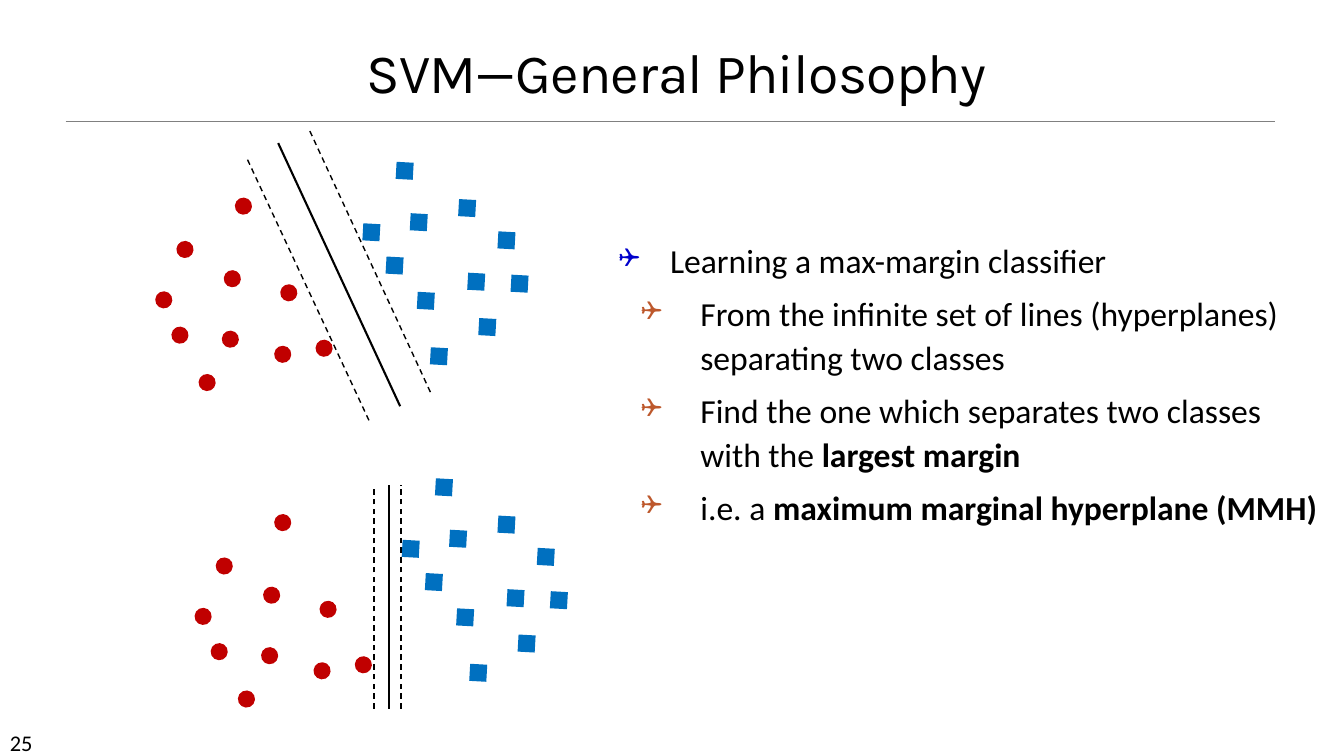
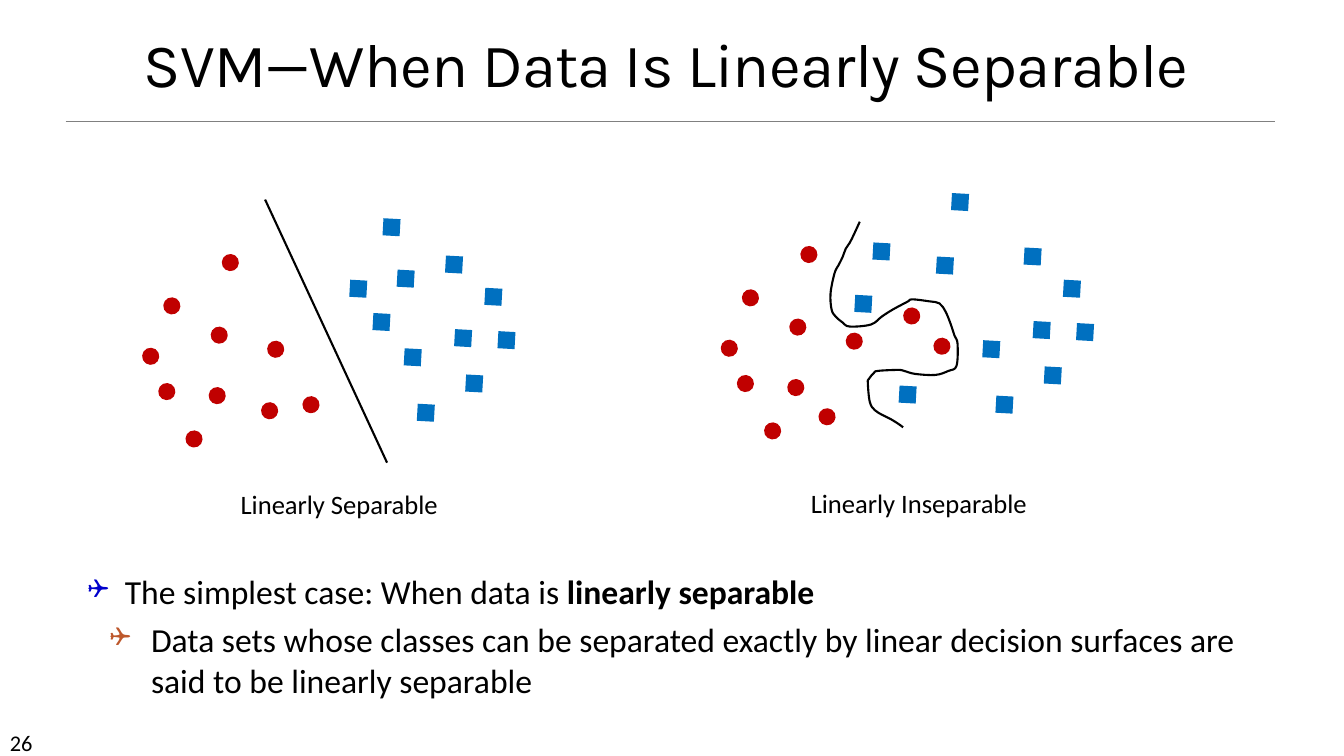
from dataclasses import dataclass, field
from typing import Any, NamedTuple

from lxml.etree import SubElement
from pptx import Presentation
from pptx.dml.color import RGBColor
from pptx.enum.dml import MSO_LINE as Dash
from pptx.enum.shapes import MSO_CONNECTOR as Link, MSO_SHAPE as Form
from pptx.enum.text import MSO_ANCHOR as Anchor, PP_ALIGN as Align
from pptx.oxml.ns import qn
from pptx.util import Inches, Pt

BLACK, GREY, BLUE, RED = "000000", "808080", "0070C0", "C00000"
DOT = 0.17
TITLE = {"name": "Karla"}
BODY = {"name": "Calibri", "size": Pt(24)}
LABEL = {"name": "Calibri", "size": Pt(19)}
PAGE = {"name": "Calibri", "size": Pt(16)}

Spot = tuple[float, float]


class Box(NamedTuple):
    left: float
    top: float
    width: float
    height: float


class Mark(NamedTuple):
    form: Form
    color: str
    turn: float


class Stroke(NamedTuple):
    start: Spot
    end: Spot
    width: float = 1.5
    dashed: bool = False
    color: str = BLACK


class Bullet(NamedTuple):
    color: str
    margin: float
    hang: float
    level: int


@dataclass
class Para:
    runs: list[tuple[str, bool]]
    bullet: Bullet | None = None
    style: dict[str, Any] = field(default_factory=dict)


@dataclass
class Cloud:
    squares: list[Spot]
    rounds: list[Spot]
    shift: Spot
    strokes: list[Stroke] = field(default_factory=list)


RULE = Stroke((0.65, 1.2), (12.65, 1.2), 0.5, color=GREY)
SQUARE = Mark(Form.RECTANGLE, BLUE, 3.2)
ROUND = Mark(Form.OVAL, RED, 4)

FAR_SQUARES = [(4.55, 1.98), (4.64, 2.71), (4.14, 2.9), (4.75, 3.16),
               (5.07, 2.73), (4.27, 3.45), (4.94, 2.3)]
FAR_ROUNDS = [(1.75, 2.39), (2.33, 1.96), (2.22, 2.68), (1.54, 2.89),
              (2.78, 2.82), (2.2, 3.28), (1.7, 3.24), (1.97, 3.71)]
NEAR_SQUARES = [(3.6, 2.22), (4.07, 2.12), (3.83, 2.55), (3.93, 1.61)]
NEAR_ROUNDS = [(2.72, 3.43), (3.13, 3.37)]
MIXED_SQUARES = [(3.31, 3.35), (3.68, 2.07), (2.87, 2.45), (3.05, 1.93), (3.83, 1.44)]
MIXED_ROUNDS = [(3.35, 2.57), (2.51, 3.57), (3.65, 2.87)]

TILTED = Stroke((3.97, 4.03), (2.76, 1.42))
TILTED_EDGES = [Stroke((3.66, 4.17), (2.44, 1.55), 1, True),
                Stroke((4.27, 3.89), (3.06, 1.27), 1, True)]
UPRIGHT = [Stroke((3.47, 3.89), (3.47, 1.67)),
           Stroke((3.32, 3.89), (3.32, 1.68), 1, True),
           Stroke((3.59, 3.89), (3.59, 1.67), 1, True)]

BEND = [(8.53, 2.2), (8.47, 2.33), (8.43, 2.41), (8.39, 2.47), (8.36, 2.55),
        (8.32, 2.63), (8.28, 2.71), (8.24, 2.91), (8.25, 3.07), (8.29, 3.14),
        (8.36, 3.2), (8.43, 3.24), (8.64, 3.22), (8.75, 3.14), (8.86, 3.07),
        (9.01, 2.99), (9.05, 2.97), (9.22, 2.99), (9.32, 3.01), (9.38, 3.09),
        (9.43, 3.21), (9.47, 3.33), (9.5, 3.41), (9.49, 3.63), (9.41, 3.68),
        (9.28, 3.72), (9.08, 3.71), (8.97, 3.68), (8.91, 3.67), (8.71, 3.68),
        (8.67, 3.7), (8.62, 3.76), (8.61, 3.8), (8.63, 3.99), (8.68, 4.07),
        (8.76, 4.12), (8.84, 4.16), (8.92, 4.21), (8.96, 4.24)]


def paint(part: Any, color: str) -> None:
    part.rgb = RGBColor.from_string(color)


def apply(target: Any, style: dict[str, Any]) -> None:
    for name, value in style.items():
        setattr(target, name, value)


def add_bullet(para: Any, bullet: Bullet) -> None:
    props = para._p.get_or_add_pPr()
    props.set("marL", str(Inches(bullet.margin)))
    props.set("indent", str(-Inches(bullet.hang)))
    tint = SubElement(props, qn("a:buClr"))
    SubElement(tint, qn("a:srgbClr")).set("val", bullet.color)
    SubElement(props, qn("a:buSzPct")).set("val", "80000")
    SubElement(props, qn("a:buFont")).set("typeface", "Wingdings")
    SubElement(props, qn("a:buChar")).set("char", "❑")
    para.level = bullet.level


def add_text(slide: Any, box: Box, paras: list[Para], font: dict[str, Any],
             anchor: Anchor = Anchor.TOP, track: int = 0) -> None:
    frame = slide.shapes.add_textbox(*map(Inches, box)).text_frame
    apply(frame, {"word_wrap": True, "vertical_anchor": anchor})
    for index, item in enumerate(paras):
        para = frame.add_paragraph() if index else frame.paragraphs[0]
        if item.bullet:
            add_bullet(para, item.bullet)
        apply(para, item.style)
        if index:
            para.space_before = Pt(6)
        for text, bold in item.runs:
            run = para.add_run()
            run.text = text
            apply(run.font, {**font, "bold": bold})
            paint(run.font.color, BLACK)
            if track:
                run._r.get_or_add_rPr().set("spc", str(track))


def add_stroke(shapes: Any, stroke: Stroke, shift: Spot = (0, 0)) -> Any:
    ends = [Inches(spot + move) for point in (stroke.start, stroke.end)
            for spot, move in zip(point, shift)]
    link = shapes.add_connector(Link.STRAIGHT, *ends)
    SubElement(link._element.spPr, qn("a:effectLst"))
    paint(link.line.color, stroke.color)
    link.line.width = Pt(stroke.width)
    if stroke.dashed:
        link.line.dash_style = Dash.DASH
    return link


def add_marks(shapes: Any, mark: Mark, spots: list[Spot], shift: Spot) -> None:
    for left, top in spots:
        shape = shapes.add_shape(mark.form, Inches(left + shift[0]), Inches(top + shift[1]),
                                 Inches(DOT), Inches(DOT))
        shape.shadow.inherit = False
        shape.rotation = mark.turn
        shape.fill.solid()
        paint(shape.fill.fore_color, mark.color)
        shape.line.fill.background()


def add_cloud(shapes: Any, cloud: Cloud) -> None:
    add_marks(shapes, SQUARE, FAR_SQUARES + cloud.squares, cloud.shift)
    add_marks(shapes, ROUND, FAR_ROUNDS + cloud.rounds, cloud.shift)
    for stroke in cloud.strokes:
        add_stroke(shapes, stroke, cloud.shift)


def smooth(shape: Any) -> None:
    points = list(shape._element.iter(qn("a:pt")))
    knots = [(int(point.get("x")), int(point.get("y"))) for point in points]
    ends = [knots[0], *knots, knots[-1]]
    for point, before, start, end, after in zip(points[1:], ends, ends[1:], ends[2:], ends[3:]):
        line = point.getparent()
        route = line.getparent()
        curve = SubElement(route, qn("a:cubicBezTo"))
        first = [s + (e - b) / 6 for b, s, e in zip(before, start, end)]
        second = [e - (a - s) / 6 for s, e, a in zip(start, end, after)]
        for x, y in (first, second, end):
            spot = SubElement(curve, qn("a:pt"))
            spot.set("x", str(round(x)))
            spot.set("y", str(round(y)))
        route.replace(line, curve)


def add_curve(slide: Any, knots: list[Spot]) -> None:
    points = [(Inches(x), Inches(y)) for x, y in knots]
    pen = slide.shapes.build_freeform(*points[0])
    pen.add_line_segments(points[1:], close=False)
    shape = pen.convert_to_shape()
    smooth(shape)
    shape.shadow.inherit = False
    shape.fill.background()
    paint(shape.line.color, BLACK)
    shape.line.width = Pt(1.5)


def add_slide(deck: Any, title: str, box: Box, size: float, page: int) -> Any:
    slide = deck.slides.add_slide(deck.slide_layouts[6])
    add_text(slide, Box(0, 7.18, 1.17, 0.3), [Para([(str(page), False)])], PAGE)
    style = {"alignment": Align.CENTER, "line_spacing": 0.85}
    add_text(slide, box, [Para([(title, False)], style=style)],
             {**TITLE, "size": Pt(size)}, Anchor.BOTTOM, -50)
    return slide


def share_rule(slide: Any) -> None:
    rule = add_stroke(slide.shapes, RULE)
    slide.slide_layout.shapes._spTree.append(rule._element)


def add_margin(deck: Any) -> None:
    slide = add_slide(deck, "SVM—General Philosophy", Box(2, 0.42, 9.42, 0.67), 39.6, 25)
    share_rule(slide)
    main = Bullet("0000CC", 0.51, 0.51, 0)
    sub = Bullet("BD582C", 0.81, 0.59, 1)
    loose = {"line_spacing": 1.1}
    add_text(slide, Box(6.04, 2.29, 7.16, 4), [
        Para([("Learning a max-margin classifier", False)], main, loose),
        Para([("From the infinite set of lines (hyperplanes) separating two classes", False)],
             sub, loose),
        Para([("Find the one which separates two classes with the ", False),
              ("largest margin", True)], sub, loose),
        Para([("i.e. a ", False), ("maximum marginal hyperplane (MMH)", True)], sub, loose),
    ], BODY)
    for shift, strokes in (((0, 0), [TILTED, *TILTED_EDGES]), ((0.39, 3.14), UPRIGHT)):
        add_cloud(slide.shapes.add_group_shape().shapes,
                  Cloud(NEAR_SQUARES, NEAR_ROUNDS, shift, strokes))


def add_cases(deck: Any) -> None:
    slide = add_slide(deck, "SVM—When Data Is Linearly Separable",
                      Box(0.77, -0.03, 11.68, 1.07), 44, 26)
    shift = (-0.13, 0.56)
    add_cloud(slide.shapes.add_group_shape().shapes, Cloud(NEAR_SQUARES, NEAR_ROUNDS, shift))
    add_stroke(slide.shapes, TILTED, shift)
    add_cloud(slide.shapes, Cloud(MIXED_SQUARES, MIXED_ROUNDS, (5.61, 0.48)))
    add_curve(slide, BEND)
    add_text(slide, Box(0.77, 5.61, 11.68, 1.99), [
        Para([("The simplest case: When data is ", False), ("linearly separable", True)],
             Bullet("0000CC", 0.37, 0.37, 0)),
        Para([("Data sets whose classes can be separated exactly by linear decision "
               "surfaces are said to be linearly separable", False)],
             Bullet("BD582C", 0.63, 0.41, 1)),
    ], BODY)
    for left, top, text in ((1.92, 4.79, "Linearly Separable"),
                            (7.67, 4.78, "Linearly Inseparable")):
        add_text(slide, Box(left, top, 2.89, 0.42),
                 [Para([(text, False)], style={"alignment": Align.CENTER})], LABEL)


def main() -> None:
    deck = Presentation()
    apply(deck, {"slide_width": Inches(40 / 3), "slide_height": Inches(7.5)})
    add_margin(deck)
    add_cases(deck)
    deck.save("out.pptx")


if __name__ == "__main__":
    main()
